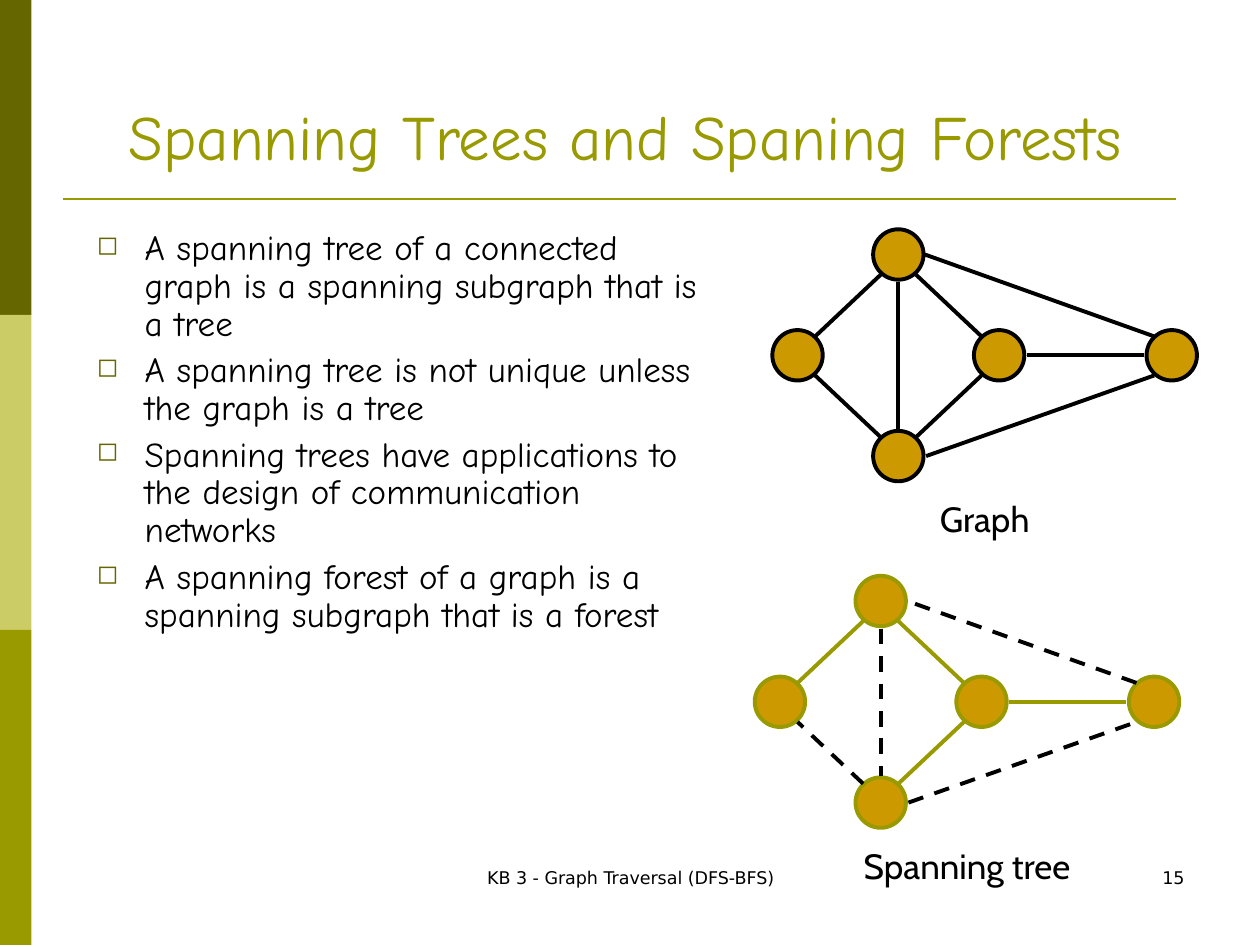
from dataclasses import dataclass

from lxml import etree
from pptx import Presentation
from pptx.dml.color import RGBColor
from pptx.enum.dml import MSO_LINE
from pptx.enum.shapes import MSO_CONNECTOR, MSO_SHAPE
from pptx.enum.text import MSO_ANCHOR, MSO_AUTO_SIZE, PP_ALIGN
from pptx.oxml.ns import qn
from pptx.shapes.autoshape import Shape
from pptx.slide import Slide
from pptx.text.text import _Paragraph
from pptx.util import Inches, Pt

STRAIGHT = MSO_CONNECTOR.STRAIGHT
RECTANGLE = MSO_SHAPE.RECTANGLE
OVAL = MSO_SHAPE.OVAL
DASH = MSO_LINE.DASH
LEFT, CENTER, RIGHT = PP_ALIGN.LEFT, PP_ALIGN.CENTER, PP_ALIGN.RIGHT
TOP, BOTTOM = MSO_ANCHOR.TOP, MSO_ANCHOR.BOTTOM
FIT_SHAPE = MSO_AUTO_SIZE.SHAPE_TO_FIT_TEXT

COLORS = {
    "dark olive": "666600",
    "pale olive": "CCCC66",
    "olive": "999900",
    "gold": "CC9900",
    "black": "000000",
}
NODE_SIZE = 0.4
EDGE_WIDTH = 2.25
BAND_WIDTH, BAND_HEIGHT = 0.25, 2.5
BULLET_INDENT = 0.38


@dataclass(frozen=True)
class TextStyle:
    font: str
    size: float
    color: str = "black"
    alignment: PP_ALIGN = LEFT
    anchor: MSO_ANCHOR = TOP


@dataclass(frozen=True)
class Edge:
    """Ends are measured from the graph's corner."""
    start: tuple[float, float]
    end: tuple[float, float]
    in_tree: bool


@dataclass(frozen=True)
class Graph:
    left: float
    top: float
    color: str
    dash_unused_edges: bool


TITLE = TextStyle("Comic Neue", 36, "olive", anchor=BOTTOM)
BODY = TextStyle("Comic Neue", 20)
CAPTION = TextStyle("Cabin", 20, alignment=CENTER)
FOOTER = TextStyle("DejaVu Sans", 10, alignment=CENTER)
PAGE_NUMBER = TextStyle("DejaVu Sans", 10, alignment=RIGHT)

BULLETS = [
    "A spanning tree of a connected graph is a spanning subgraph that is a tree",
    "A spanning tree is not unique unless the graph is a tree",
    "Spanning trees have applications to the design of communication networks",
    "A spanning forest of a graph is a spanning subgraph that is a forest",
]

# Top left corners of the nodes, measured from the graph's corner
NODES = [(1.6, 0.8), (0, 0.8), (0.8, 0), (0.8, 1.6), (2.97, 0.8)]
EDGES = [
    Edge((0.86, 0.36), (0.34, 0.85), True),
    Edge((0.86, 1.65), (0.34, 1.16), False),
    Edge((1.14, 1.65), (1.66, 1.16), True),
    Edge((1.14, 0.36), (1.66, 0.85), True),
    Edge((1, 0.42), (1, 1.59), False),
    Edge((2.02, 1), (2.95, 1), True),
    Edge((1.22, 1.8), (3.03, 1.16), False),
    Edge((3.03, 0.85), (1.21, 0.2), False),
]
GRAPHS = [
    Graph(6.13, 1.82, "black", False),
    Graph(5.99, 4.57, "olive", True),
]


def rgb(name: str) -> RGBColor:
    return RGBColor.from_string(COLORS[name])


def add_filled_shape(slide: Slide, kind: MSO_SHAPE, left: float, top: float,
                     width: float, height: float, fill: str) -> Shape:
    shape = slide.shapes.add_shape(
        kind, Inches(left), Inches(top), Inches(width), Inches(height))
    shape.shadow.inherit = False
    shape.fill.solid()
    shape.fill.fore_color.rgb = rgb(fill)
    shape.line.fill.background()
    return shape


def add_line(slide: Slide, start: tuple[float, float], end: tuple[float, float],
             color: str, width: float, dashed: bool = False) -> None:
    line = slide.shapes.add_connector(
        STRAIGHT, *(Inches(value) for value in (*start, *end)))
    line.line.color.rgb = rgb(color)
    line.line.width = Pt(width)
    if dashed:
        line.line.dash_style = DASH
    etree.SubElement(line._element.spPr, qn("a:effectLst"))


def add_bullet(paragraph: _Paragraph) -> None:
    properties = paragraph._p.get_or_add_pPr()
    properties.set("marL", str(Inches(BULLET_INDENT)))
    properties.set("indent", str(-Inches(BULLET_INDENT)))
    bullet_color = etree.SubElement(properties, qn("a:buClr"))
    etree.SubElement(bullet_color, qn("a:srgbClr"), val=COLORS["dark olive"])
    etree.SubElement(properties, qn("a:buSzPct"), val="75000")
    etree.SubElement(properties, qn("a:buChar"), char="◻")


def add_text(slide: Slide, lines: list[str], left: float, top: float, width: float,
             height: float, style: TextStyle, bulleted: bool = False) -> Shape:
    box = slide.shapes.add_textbox(
        Inches(left), Inches(top), Inches(width), Inches(height))
    frame = box.text_frame
    frame.word_wrap = True
    frame.vertical_anchor = style.anchor
    for index, text in enumerate(lines):
        paragraph = frame.add_paragraph() if index else frame.paragraphs[0]
        paragraph.alignment = style.alignment
        if bulleted:
            add_bullet(paragraph)
            paragraph.line_spacing = 0.9
            paragraph.space_before = Pt(5 if index else 0)
        run = paragraph.add_run()
        run.text = text
        run.font.name = style.font
        run.font.size = Pt(style.size)
        run.font.color.rgb = rgb(style.color)
    return box


def add_graph(slide: Slide, graph: Graph) -> None:
    for x, y in NODES:
        node = add_filled_shape(slide, OVAL, graph.left + x, graph.top + y,
                                NODE_SIZE, NODE_SIZE, "gold")
        node.line.color.rgb = rgb(graph.color)
        node.line.width = Pt(EDGE_WIDTH)
    for edge in EDGES:
        start, end = ((graph.left + x, graph.top + y) for x, y in (edge.start, edge.end))
        add_line(slide, start, end, graph.color if edge.in_tree else "black",
                 EDGE_WIDTH, graph.dash_unused_edges and not edge.in_tree)


def main() -> None:
    presentation = Presentation()
    presentation.slide_width = Inches(10)
    presentation.slide_height = Inches(7.5)
    slide = presentation.slides.add_slide(presentation.slide_layouts[6])

    for index, color in enumerate(("dark olive", "pale olive", "olive")):
        add_filled_shape(slide, RECTANGLE, 0, index * BAND_HEIGHT,
                         BAND_WIDTH, BAND_HEIGHT, color)
    add_line(slide, (0.5, 1.58), (9.33, 1.58), "olive", 1.5)

    add_text(slide, ["KB 3 - Graph Traversal (DFS-BFS)"], 3.42, 6.83, 3.17, 0.5, FOOTER)
    add_text(slide, ["15"], 7.17, 6.83, 2.33, 0.5, PAGE_NUMBER)
    add_text(slide, ["Spanning Trees and Spaning Forests"], 0.92, 0.25, 8.5, 1.17, TITLE)
    add_text(slide, BULLETS, 0.67, 1.78, 5, 4.64, BODY, bulleted=True)

    captions = [
        add_text(slide, ["Graph"], 6.25, 3.9, 3.13, 0.44, CAPTION),
        add_text(slide, ["Spanning tree"], 5.68, 6.65, 3.99, 0.44, CAPTION),
    ]
    for caption in captions:
        caption.text_frame.auto_size = FIT_SHAPE
    for graph in GRAPHS:
        add_graph(slide, graph)

    presentation.save("out.pptx")


if __name__ == "__main__":
    main()
